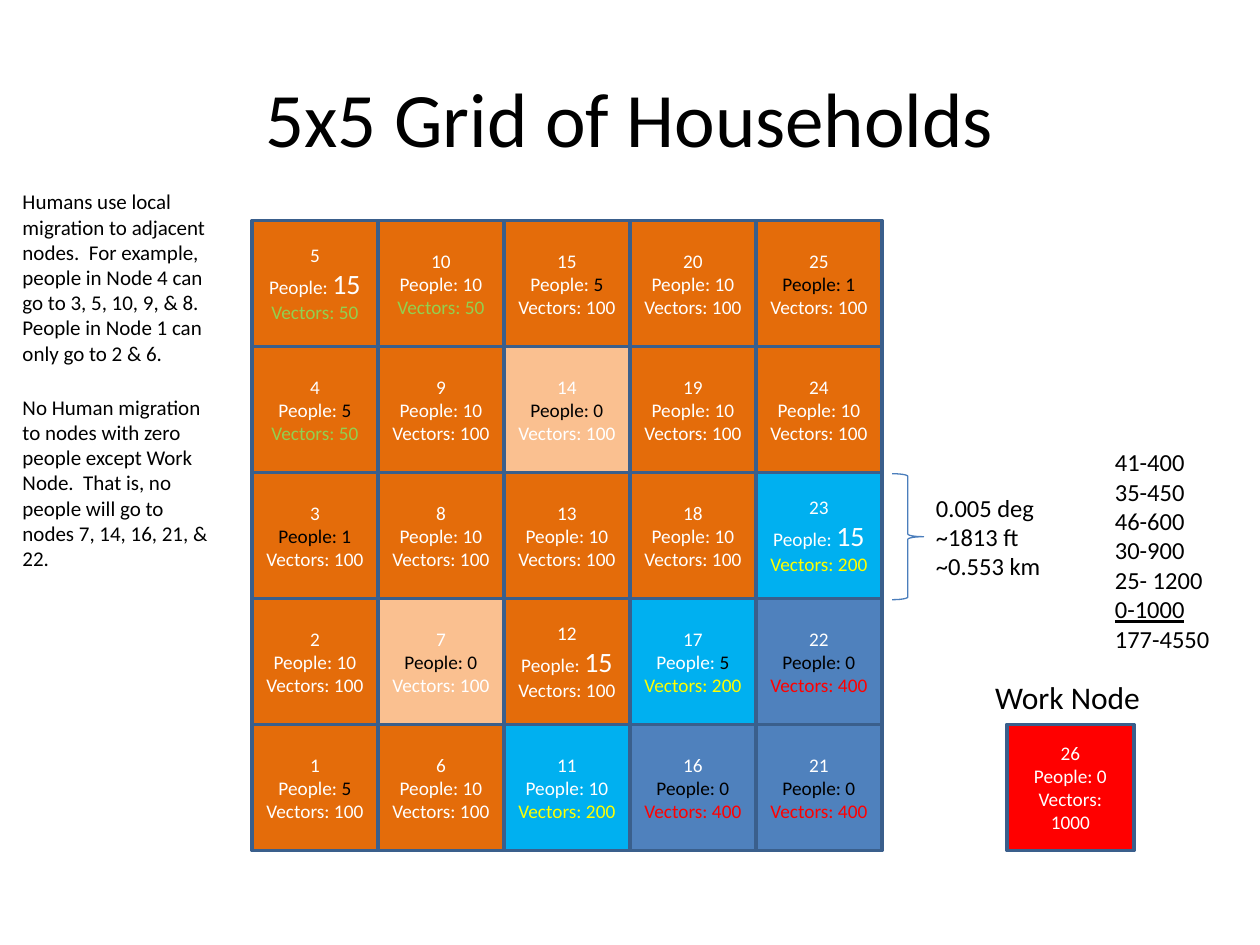
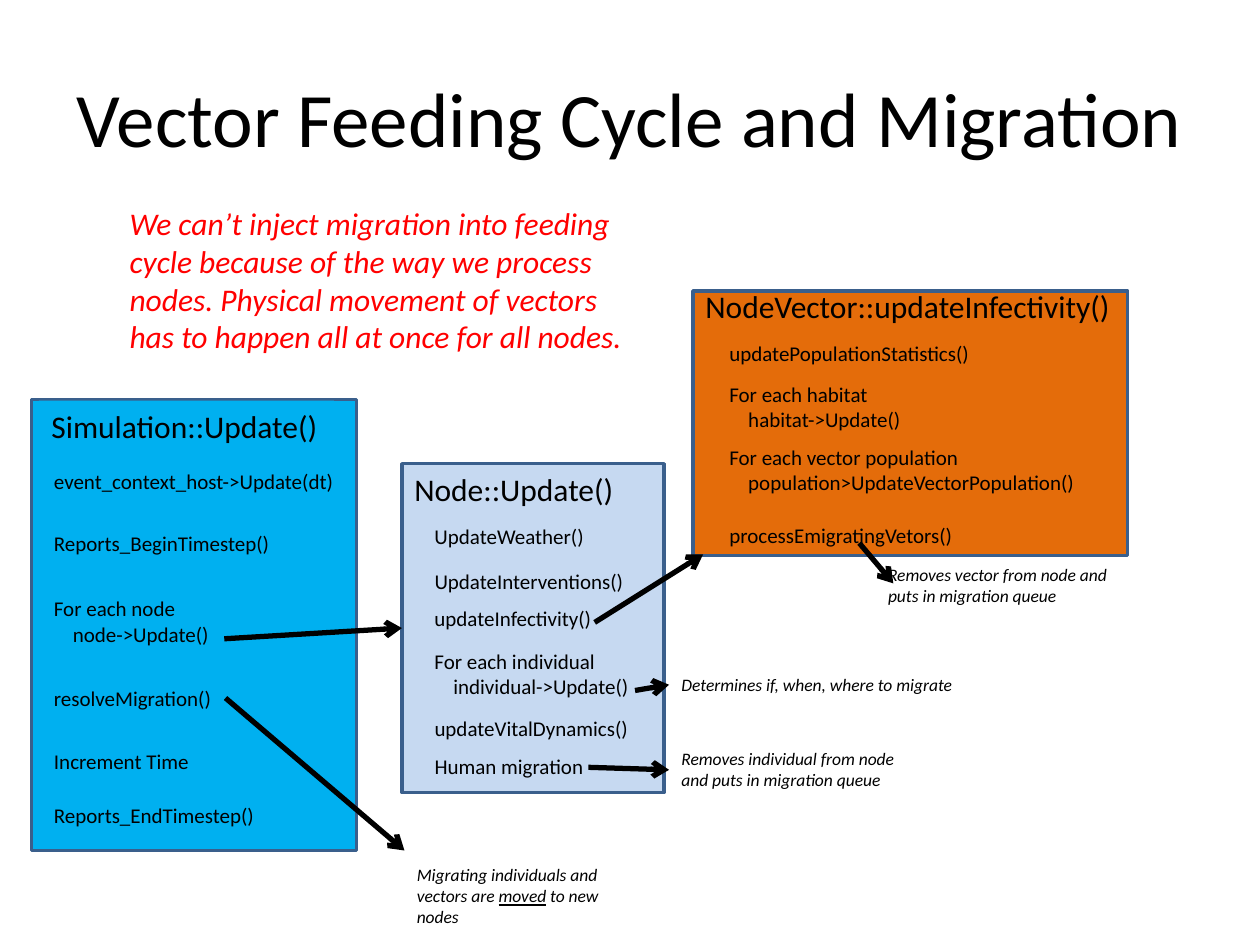
from lxml import etree
from pptx import Presentation
from pptx.dml.color import RGBColor
from pptx.enum.shapes import MSO_CONNECTOR, MSO_SHAPE
from pptx.enum.text import MSO_ANCHOR, MSO_AUTO_SIZE, PP_ALIGN
from pptx.oxml.ns import qn
from pptx.util import Inches, Pt

LEFT, CENTER = PP_ALIGN.LEFT, PP_ALIGN.CENTER
TOP, MIDDLE = MSO_ANCHOR.TOP, MSO_ANCHOR.MIDDLE
RECTANGLE, BRACE = MSO_SHAPE.RECTANGLE, MSO_SHAPE.RIGHT_BRACE
STRAIGHT = MSO_CONNECTOR.STRAIGHT
GROW, FIXED = MSO_AUTO_SIZE.SHAPE_TO_FIT_TEXT, MSO_AUTO_SIZE.NONE
LEFT_SIDE, RIGHT_SIDE = 1, 3

FONT = "Calibri"
BLACK = RGBColor(0x00, 0x00, 0x00)
WHITE = RGBColor(0xFF, 0xFF, 0xFF)
RED = RGBColor(0xFF, 0x00, 0x00)
YELLOW = RGBColor(0xFF, 0xFF, 0x00)
GREEN = RGBColor(0x92, 0xD0, 0x50)
ORANGE = RGBColor(0xE4, 0x6C, 0x0A)
PEACH = RGBColor(0xFA, 0xC0, 0x90)
CYAN = RGBColor(0x00, 0xB0, 0xF0)
BLUE = RGBColor(0x4F, 0x81, 0xBD)
PALE_BLUE = RGBColor(0xC6, 0xD9, 0xF1)
BORDER = RGBColor(0x3A, 0x5F, 0x8C)
BRACE_BLUE = RGBColor(0x4B, 0x7E, 0xBC)

# Content: households, (people, vectors) for nodes 1 to 25
GRID_TITLE = "5x5 Grid of Households"
HOUSEHOLDS = [
    (5, 100), (10, 100), (1, 100), (5, 50), (15, 50),
    (10, 100), (0, 100), (10, 100), (10, 100), (10, 50),
    (10, 200), (15, 100), (10, 100), (0, 100), (5, 100),
    (0, 400), (5, 200), (10, 100), (10, 100), (10, 100),
    (0, 400), (0, 400), (15, 200), (10, 100), (1, 100),
]
GRID_SIZE, GRID_LEFT, GRID_TOP, CELL = 5, 2, 1.75, 1
WORK_NODE = ["26", "People: 0", "Vectors: 1000"]
VECTOR_COLORS = {50: GREEN, 200: YELLOW, 400: RED}
VECTOR_FILLS = {200: CYAN, 400: BLUE}

# (box, paragraphs, size, wrap)
GRID_NOTES = [
    ((0.08, 1.45, 1.75, 1.51),
     ["Humans use local migration to adjacent nodes.  For example, people in "
      "Node 4 can go to 3, 5, 10, 9, & 8.  People in Node 1 can only go to 2 & 6."],
     12, True),
    ((0.08, 3.08, 1.75, 1.51),
     ["No Human migration to nodes with zero people except Work Node.  That is, "
      "no people will go to nodes 7, 14, 16, 21, & 22."], 12, True),
    ((7.33, 3.86, 1.04, 0.81), ["0.005 deg", "~1813 ft", "~0.553 km"], 14, False),
    ((8.75, 3.5, 0.96, 1.75),
     ["41-400", "35-450", "46-600", "30-900", "25- 1200",
      [("0-1000", {"underline": True})], "177-4550"], 14, False),
    ((7.8, 5.33, 1.36, 0.4), ["Work Node"], 18, False),
]

# Content: feeding cycle; each step is (top, width, lines)
CYCLE_TITLE = "Vector Feeding Cycle and Migration"
WARNING = ("We can’t inject migration into feeding cycle because of the way we "
           "process nodes. Physical movement of vectors has to happen all at once "
           "for all nodes.")
PANELS = [
    {"box": (0.25, 3.17, 2.58, 3.58), "fill": CYAN, "label_fill": CYAN,
     "heading": ("Simulation::Update()", (0.31, 3.18, 2.34, 0.4)),
     "step_left": 0.33,
     "steps": [
         (3.67, 2.45, ["event_context_host->Update(dt)"]),
         (4.16, 1.93, ["Reports_BeginTimestep()"]),
         (4.68, 1.44, ["For each node", "    node->Update()"]),
         (5.39, 1.46, ["resolveMigration()"]),
         (5.89, 1.28, ["Increment Time"]),
         (6.32, 1.81, ["Reports_EndTimestep()"])]},
    {"box": (3.19, 3.68, 2.08, 2.61), "fill": PALE_BLUE, "label_fill": None,
     "heading": ("Node::Update()", (3.19, 3.68, 1.8, 0.4)),
     "step_left": 3.35,
     "steps": [
         (4.11, 1.4, ["UpdateWeather()"]),
         (4.46, 1.71, ["UpdateInterventions()"]),
         (4.76, 1.46, ["updateInfectivity()"]),
         (5.1, 1.76, ["For each individual", "    individual->Update()"]),
         (5.63, 1.75, ["updateVitalDynamics()"]),
         (5.93, 1.39, ["Human migration"])]},
    {"box": (5.5, 2.31, 3.45, 2.1), "fill": ORANGE, "label_fill": None,
     "heading": ("NodeVector::updateInfectivity()", (5.5, 2.23, 3.45, 0.4)),
     "step_left": 5.69,
     "steps": [
         (2.65, 2.13, ["updatePopulationStatistics()"]),
         (2.98, 1.58, ["For each habitat", "    habitat->Update()"]),
         (3.48, 2.97, ["For each vector population",
                       "    population>UpdateVectorPopulation()"]),
         (4.1, 1.99, ["processEmigratingVetors()"])]},
]

# key: (box, paragraphs, wrap)
REMARKS = {
    "decide": ((5.31, 5.3, 2.41, 0.27),
               ["Determines if, when, where to migrate"], False),
    "remove individual": ((5.31, 5.89, 2, 0.44),
                          ["Removes individual from node and puts in migration queue"],
                          True),
    "move": ((3.21, 6.81, 2, 0.61),
             [["Migrating individuals and vectors are ",
               ("moved", {"underline": True}), " to new nodes"]], True),
    "remove vector": ((6.95, 4.43, 2, 0.44),
                      ["Removes vector from node and puts in migration queue"], True),
}

# (start, end, part joined at the start, part joined at the end)
ARROWS = [
    ((1.78, 5.07), (3.19, 4.99), None, "Node::Update()"),
    ((1.8, 5.54), (3.21, 6.75), "resolveMigration()", None),
    ((5.04, 5.48), (5.31, 5.43), None, "decide"),
    ((4.67, 6.09), (5.31, 6.11), None, "remove individual"),
    ((4.72, 4.94), (5.58, 4.4), None, None),
    ((6.82, 4.31), (7.09, 4.63), None, None),
]


def write_text(frame, paragraphs, size=12, color=BLACK, italic=False, align=LEFT,
               anchor=TOP, wrap=True, auto_size=FIXED):
    """Each paragraph is a string or a list of strings and (string, format) runs."""
    frame.word_wrap = wrap
    frame.auto_size = auto_size
    frame.vertical_anchor = anchor
    for index, content in enumerate(paragraphs):
        paragraph = frame.paragraphs[0] if index == 0 else frame.add_paragraph()
        paragraph.alignment = align
        for part in [content] if isinstance(content, str) else content:
            text, own = (part, {}) if isinstance(part, str) else part
            run = paragraph.add_run()
            run.text = text
            run.font.name = FONT
            run.font.size = Pt(own.get("size", size))
            run.font.color.rgb = own.get("color", color)
            run.font.italic = italic
            run.font.underline = own.get("underline", False)


def add_title_slide(prs, title):
    slide = prs.slides.add_slide(prs.slide_layouts[5])
    heading = slide.shapes.title
    heading.left, heading.top, heading.width, heading.height = map(
        Inches, (0.5, 0.3, 9, 1.25))
    write_text(heading.text_frame, [title], size=44, align=CENTER, anchor=MIDDLE)
    return slide


def add_panel(slide, box, fill):
    panel = slide.shapes.add_shape(RECTANGLE, *map(Inches, box))
    panel.shadow.inherit = False
    panel.fill.solid()
    panel.fill.fore_color.rgb = fill
    panel.line.color.rgb = BORDER
    panel.line.width = Pt(2)
    return panel


def add_label(slide, box, paragraphs, fill=None, **text_format):
    label = slide.shapes.add_textbox(*map(Inches, box))
    if fill is not None:
        label.fill.solid()
        label.fill.fore_color.rgb = fill
    write_text(label.text_frame, paragraphs, auto_size=GROW, **text_format)
    return label


def add_node(slide, box, paragraphs, fill):
    node = add_panel(slide, box, fill)
    write_text(node.text_frame, paragraphs, size=11, color=WHITE,
               align=CENTER, anchor=MIDDLE)


def add_arrow(slide, start, end, source=None, target=None):
    arrow = slide.shapes.add_connector(STRAIGHT, *map(Inches, start + end))
    if source is not None:
        arrow.begin_connect(source, RIGHT_SIDE)
    if target is not None:
        arrow.end_connect(target, LEFT_SIDE)
    arrow.line.color.rgb = BLACK
    arrow.line.width = Pt(3)
    etree.SubElement(arrow.line._get_or_add_ln(), qn("a:tailEnd"), type="arrow")
    etree.SubElement(arrow._element.spPr, qn("a:effectLst"))


def household_text(number, people, vectors):
    # Few people are marked in black, a crowd in larger figures
    if people <= 1:
        people_line = [(f"People: {people}", {"color": BLACK})]
    else:
        emphasis = {5: {"color": BLACK}, 15: {"size": 16}}.get(people, {})
        people_line = ["People: ", (str(people), emphasis)]
    vector_color = VECTOR_COLORS.get(vectors, WHITE)
    return [str(number), people_line,
            [(f"Vectors: {vectors}", {"color": vector_color})]]


def build_grid_slide(prs):
    slide = add_title_slide(prs, GRID_TITLE)

    # Households, numbered upwards column by column
    for index, (people, vectors) in enumerate(HOUSEHOLDS):
        column, row = divmod(index, GRID_SIZE)
        box = (GRID_LEFT + column * CELL,
               GRID_TOP + (GRID_SIZE - 1 - row) * CELL, CELL, CELL)
        fill = VECTOR_FILLS.get(vectors, ORANGE if people else PEACH)
        add_node(slide, box, household_text(index + 1, people, vectors), fill)
    add_node(slide, (7.99, 5.75, 1.01, 1), WORK_NODE, RED)

    # Cell size
    brace = slide.shapes.add_shape(BRACE, *map(Inches, (7.08, 3.76, 0.25, 1)))
    brace.shadow.inherit = False
    brace.fill.background()
    brace.line.color.rgb = BRACE_BLUE
    brace.line.width = Pt(0.75)

    for box, paragraphs, size, wrap in GRID_NOTES:
        add_label(slide, box, paragraphs, size=size, wrap=wrap)


def build_cycle_slide(prs):
    slide = add_title_slide(prs, CYCLE_TITLE)
    parts = {}

    # Update functions and their steps
    for panel in PANELS:
        heading, heading_box = panel["heading"]
        label_fill = panel["label_fill"]
        parts[heading] = add_panel(slide, panel["box"], panel["fill"])
        for top, width, lines in panel["steps"]:
            box = (panel["step_left"], top, width, 0.1 + 0.2 * len(lines))
            parts[lines[0]] = add_label(slide, box, lines, fill=label_fill, wrap=False)
        add_label(slide, heading_box, [heading], fill=label_fill, size=18, wrap=False)

    # Remarks, arrows and warning
    for key, (box, paragraphs, wrap) in REMARKS.items():
        parts[key] = add_label(slide, box, paragraphs, size=10, italic=True, wrap=wrap)
    for start, end, source, target in ARROWS:
        add_arrow(slide, start, end, parts.get(source), parts.get(target))
    add_label(slide, (0.93, 1.57, 4.18, 1.31), [WARNING], size=18, color=RED, italic=True)


def main():
    prs = Presentation()
    prs.slide_width, prs.slide_height = Inches(10), Inches(7.5)
    build_grid_slide(prs)
    build_cycle_slide(prs)
    prs.save("out.pptx")


if __name__ == "__main__":
    main()
